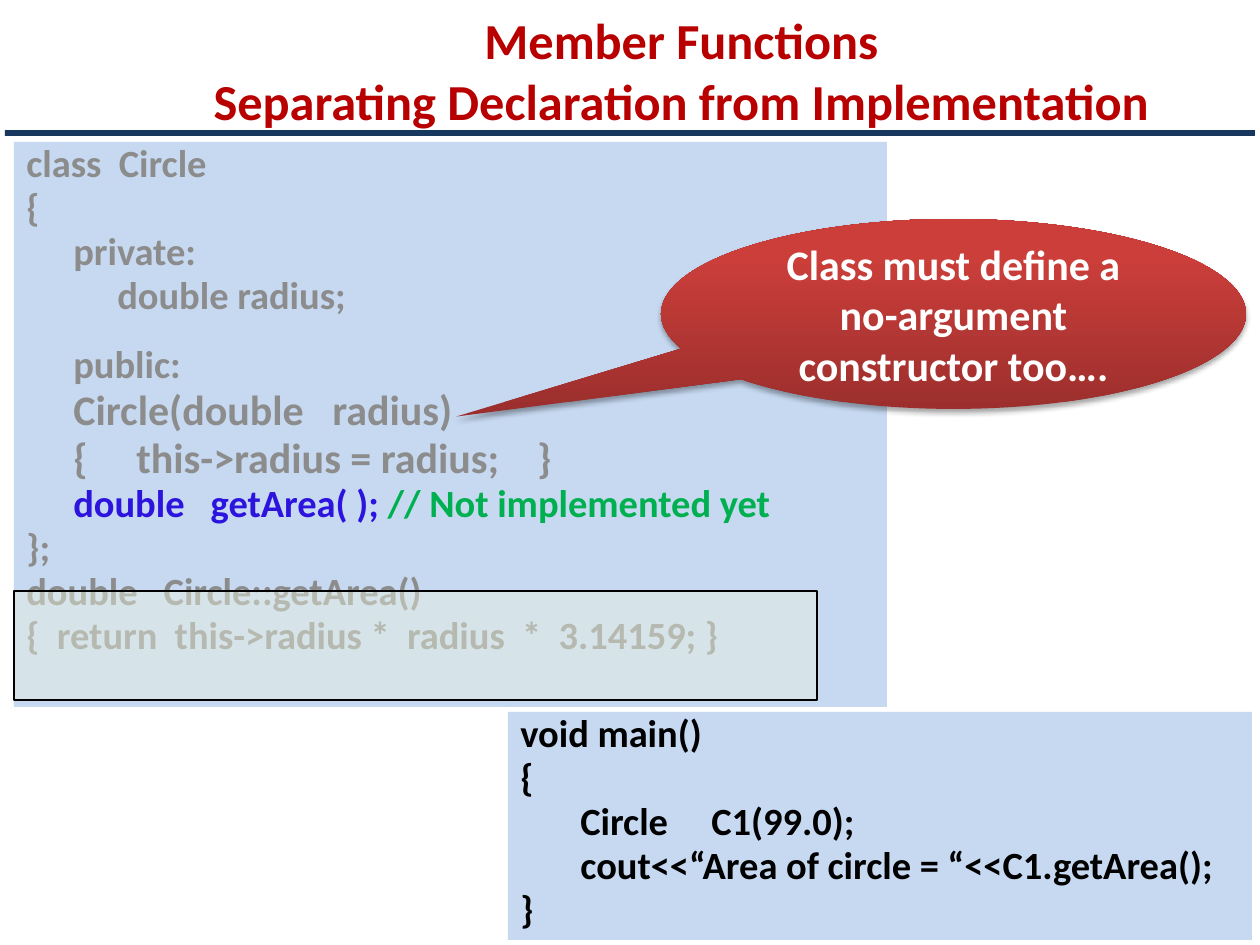
import lxml.etree
import pptx
import pptx.dml.color
import pptx.enum.shapes
import pptx.enum.text
import pptx.oxml.ns
import pptx.util

EMU_PER_PX = 914400 / 126
GREY, BLUE, GREEN = "8C8C8C", "2C14DE", "00B050"
CODE_FILL = "C6D9F1"
Shapes = pptx.enum.shapes.MSO_SHAPE
Align = pptx.enum.text.PP_ALIGN
Anchor = pptx.enum.text.MSO_ANCHOR


def px(length):
    return pptx.util.Emu(round(length * EMU_PER_PX))


def color(hex_string):
    return pptx.dml.color.RGBColor.from_string(hex_string)


def add_element(parent, tag, **attributes):
    element = lxml.etree.SubElement(parent, pptx.oxml.ns.qn(tag))
    for name, value in attributes.items():
        element.set(name, str(value))
    return element


def add_run(paragraph, text, size=22, fill="000000", bold=True):
    run = paragraph.add_run()
    run.text = text
    font = run.font
    font.name, font.size, font.bold = "Calibri", pptx.util.Pt(size), bold
    font.color.rgb = color(fill)


class SlideBuilder:
    def __init__(self, slide):
        self.slide = slide

    def shape(self, kind, left, top, width, height, fill=None, line=None, opacity=None):
        shape = self.slide.shapes.add_shape(kind, px(left), px(top), px(width), px(height))
        shape.shadow.inherit = False
        if fill:
            shape.fill.solid()
            shape.fill.fore_color.rgb = color(fill)
        if opacity:
            rgb = shape.fill._xPr.find(".//" + pptx.oxml.ns.qn("a:srgbClr"))
            add_element(rgb, "a:alpha", val=opacity * 1000)
        if line:
            shape.line.color.rgb = color(line)
            shape.line.width = pptx.util.Pt(1)
        else:
            shape.line.fill.background()
        return shape

    def title(self, left, top, width, height, lines):
        box = self.slide.shapes.add_textbox(px(left), px(top), px(width), px(height))
        frame = box.text_frame
        frame.word_wrap = True
        frame.vertical_anchor = Anchor.MIDDLE
        paragraph = frame.paragraphs[0]
        paragraph.alignment = Align.CENTER
        for index, line in enumerate(lines):
            if index:
                paragraph.add_line_break()
            add_run(paragraph, line, size=28.8, fill="B80000")

    def code(self, left, top, width, height, lines):
        """Each line is (indent in px, size, space before or None, runs of (text, colour))."""
        frame = self.shape(Shapes.RECTANGLE, left, top, width, height, CODE_FILL).text_frame
        frame.word_wrap = True
        frame.vertical_anchor = Anchor.TOP
        for index, (indent, size, space, runs) in enumerate(lines):
            paragraph = frame.add_paragraph() if index else frame.paragraphs[0]
            paragraph.alignment = Align.LEFT
            paragraph.line_spacing = 0.8
            paragraph.space_before = pptx.util.Pt(space or round(size * 0.18, 1))
            paragraph._p.get_or_add_pPr().set("marL", str(px(indent)))
            for text, fill in runs:
                add_run(paragraph, text, size=size, fill=fill)

    def callout(self, left, top, width, height, text, tail):
        shape = self.shape(Shapes.OVAL_CALLOUT, left, top, width, height)
        shape.adjustments[0], shape.adjustments[1] = tail
        # Dark red at the bottom, lighter towards the top
        shape.fill.gradient()
        shape.fill.gradient_angle = 90
        stops = shape.fill.gradient_stops
        for stop, position, fill in zip(stops, (0, 0.8), ("9C2F2D", "CB3E3A")):
            stop.position = position
            stop.color.rgb = color(fill)
        # Soft shadow below
        effects = shape._element.spPr.find(pptx.oxml.ns.qn("a:effectLst"))
        shadow = add_element(effects, "a:outerShdw", blurRad=pptx.util.Pt(3.1),
                             dist=pptx.util.Pt(1.8), dir=90 * 60000, rotWithShape=0)
        add_element(add_element(shadow, "a:srgbClr", val="000000"), "a:alpha", val=35000)
        frame = shape.text_frame
        frame.word_wrap = True
        frame.vertical_anchor = Anchor.MIDDLE
        frame.paragraphs[0].alignment = Align.CENTER
        add_run(frame.paragraphs[0], text, size=24, fill="FFFFFF")


def main():
    presentation = pptx.Presentation()
    presentation.slide_width, presentation.slide_height = px(1260), px(945)
    builder = SlideBuilder(presentation.slides.add_slide(presentation.slide_layouts[6]))

    builder.title(116, 16, 1131, 108,
                  ["Member Functions", "Separating Declaration from Implementation"])

    # Class declaration
    builder.code(14, 142, 873, 565, [
        (0, 22, None, [("class  Circle", GREY)]),
        (0, 22, None, [("{", GREY)]),
        (47, 22, None, [("private:", GREY)]),
        (91, 22, None, [("double radius;", GREY)]),
        (47, 22, 18, [("public:", GREY)]),
        (47, 24, None, [("Circle(double   radius)", GREY)]),
        (47, 24, None, [("{\tthis->radius = radius;    }", GREY)]),
        (47, 22, None, [("double   getArea( ); ", BLUE), ("// Not implemented yet", GREEN)]),
        (0, 22, None, [("};", GREY)]),
        (0, 22, None, [("double   Circle::getArea()", GREY)]),
        (0, 22, None, [("{  return  this->radius *  radius  *  3.14159; }", GREY)]),
    ])

    # Main program
    main_lines = [(0, "void main()"), (0, "{"), (60, "Circle     C1(99.0);"),
                  (60, "cout<<“Area of circle = “<<C1.getArea();"), (0, "}")]
    builder.code(508, 712, 744, 228,
                 [(indent, 22, None, [(text, "000000")]) for indent, text in main_lines])

    # Veil over the implementation, and the rule under the title
    builder.shape(Shapes.RECTANGLE, 14, 591, 803, 109, "EBF1DE", line="000000", opacity=45)
    builder.shape(Shapes.RECTANGLE, 5, 130, 1250, 6, "17375E")

    builder.callout(661, 219, 585, 190, "Class must define a no-argument constructor too….",
                    tail=(-0.85, 0.54))

    presentation.save("out.pptx")


if __name__ == "__main__":
    main()
